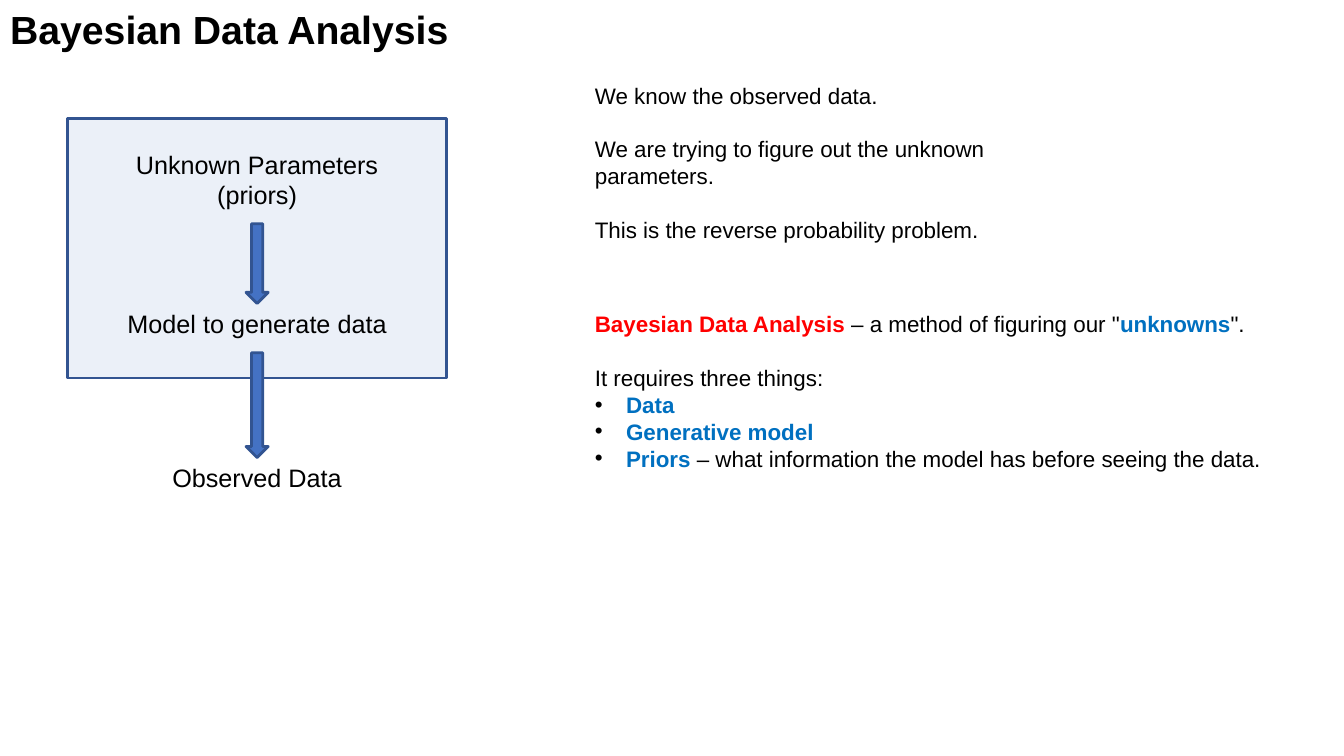
from lxml import etree
from pptx import Presentation
from pptx.dml.color import RGBColor
from pptx.enum import shapes, text
from pptx.oxml import ns
from pptx.util import Inches, Pt

BLACK = RGBColor(0x00, 0x00, 0x00)
RED = RGBColor(0xFF, 0x00, 0x00)
BLUE = RGBColor(0x00, 0x70, 0xC0)
FILL = RGBColor(0x44, 0x72, 0xC4)
OUTLINE = RGBColor(0x32, 0x54, 0x91)

TITLE = "Bayesian Data Analysis"
BODY_SIZE, LINE_GAP = 16, 19.2

# (label, top, height)
STAGES = [
    ("Unknown Parameters (priors)", 1.43, 0.71),
    ("Model to generate data", 3.01, 0.4),
    ("Observed Data", 4.54, 0.4),
]
# (top, bottom)
ARROWS = [(2.22, 3.01), (3.5, 4.54)]
MODEL_BOX = (0.67, 1.18, 3.76, 2.57)
STAGE_WIDTH, ARROW_WIDTH = 3.36, 0.22

# Paragraph: (blank lines before, bulleted, [(words, accent colour or None)])
PROBLEM = [
    (0, False, [("We know the observed data.", None)]),
    (1, False, [("We are trying to figure out the unknown parameters.", None)]),
    (1, False, [("This is the reverse probability problem.", None)]),
]
METHOD = [
    (0, False, [("Bayesian Data Analysis", RED), (' – a method of figuring our "', None),
                ("unknowns", BLUE), ('".', None)]),
    (1, False, [("It requires three things:", None)]),
    (0, True, [("Data", BLUE)]),
    (0, True, [("Generative model", BLUE)]),
    (0, True, [("Priors", BLUE),
               (" – what information the model has before seeing the data.", None)]),
]
PASSAGES = [(PROBLEM, (5.8, 0.76, 4.81, 1.72)), (METHOD, (5.8, 3.03, 7.2, 1.72))]


def place(shape, box):
    shape.left, shape.top, shape.width, shape.height = map(Inches, box)


def style(run, size, color=BLACK, bold=False):
    run.font.name = "Arial"
    run.font.size = Pt(size)
    run.font.bold = bold
    run.font.color.rgb = color


def set_bullet(paragraph, bulleted):
    props = paragraph._p.get_or_add_pPr()
    indent = Inches(0.31) if bulleted else 0
    props.set("marL", str(indent))
    props.set("indent", str(-indent))
    if bulleted:
        color = etree.SubElement(props, ns.qn("a:buClr"))
        etree.SubElement(color, ns.qn("a:srgbClr"), val=str(BLACK))
        etree.SubElement(props, ns.qn("a:buFont"), typeface="Arial")
        etree.SubElement(props, ns.qn("a:buChar"), char="•")
    else:
        etree.SubElement(props, ns.qn("a:buNone"))


def add_filled(slide, kind, box):
    shape = slide.shapes.add_shape(kind, *map(Inches, box))
    shape.shadow.inherit = False
    shape.fill.solid()
    shape.fill.fore_color.rgb = FILL
    shape.line.color.rgb = OUTLINE
    shape.line.width = Pt(2)
    return shape


def write_title(title):
    place(title, (0, 0, 5.02, 0.57))
    frame = title.text_frame
    frame.text = TITLE
    frame.auto_size = text.MSO_AUTO_SIZE.NONE
    frame.vertical_anchor = text.MSO_ANCHOR.TOP
    frame.paragraphs[0].alignment = text.PP_ALIGN.LEFT
    style(frame.paragraphs[0].runs[0], 28, bold=True)


def write_passage(body, passage, box):
    place(body, box)
    frame = body.text_frame
    frame.auto_size = text.MSO_AUTO_SIZE.NONE
    for i, (blank_lines, bulleted, pieces) in enumerate(passage):
        paragraph = frame.add_paragraph() if i else frame.paragraphs[0]
        set_bullet(paragraph, bulleted)
        paragraph.space_before = Pt(blank_lines * LINE_GAP)
        for words, accent in pieces:
            run = paragraph.add_run()
            run.text = words
            style(run, BODY_SIZE, accent or BLACK, bold=accent is not None)


def draw_flow(slide):
    model = add_filled(slide, shapes.MSO_SHAPE.RECTANGLE, MODEL_BOX)
    tint = model.fill._xPr.find(".//" + ns.qn("a:srgbClr"))
    etree.SubElement(tint, ns.qn("a:alpha"), val="10000")

    center = MODEL_BOX[0] + MODEL_BOX[2] / 2
    for label, top, height in STAGES:
        box = (center - STAGE_WIDTH / 2, top, STAGE_WIDTH, height)
        frame = slide.shapes.add_textbox(*map(Inches, box)).text_frame
        frame.word_wrap = True
        frame.text = label
        frame.paragraphs[0].alignment = text.PP_ALIGN.CENTER
        style(frame.paragraphs[0].runs[0], 18)
    for top, bottom in ARROWS:
        add_filled(slide, shapes.MSO_SHAPE.DOWN_ARROW,
                   (center - ARROW_WIDTH / 2, top, ARROW_WIDTH, bottom - top))


def main():
    deck = Presentation()
    deck.slide_width, deck.slide_height = Inches(13.33), Inches(7.5)
    slide = deck.slides.add_slide(deck.slide_layouts.get_by_name("Two Content"))
    title, *bodies = slide.placeholders
    write_title(title)
    for body, (passage, box) in zip(bodies, PASSAGES):
        write_passage(body, passage, box)
    draw_flow(slide)
    deck.save("out.pptx")


if __name__ == "__main__":
    main()
